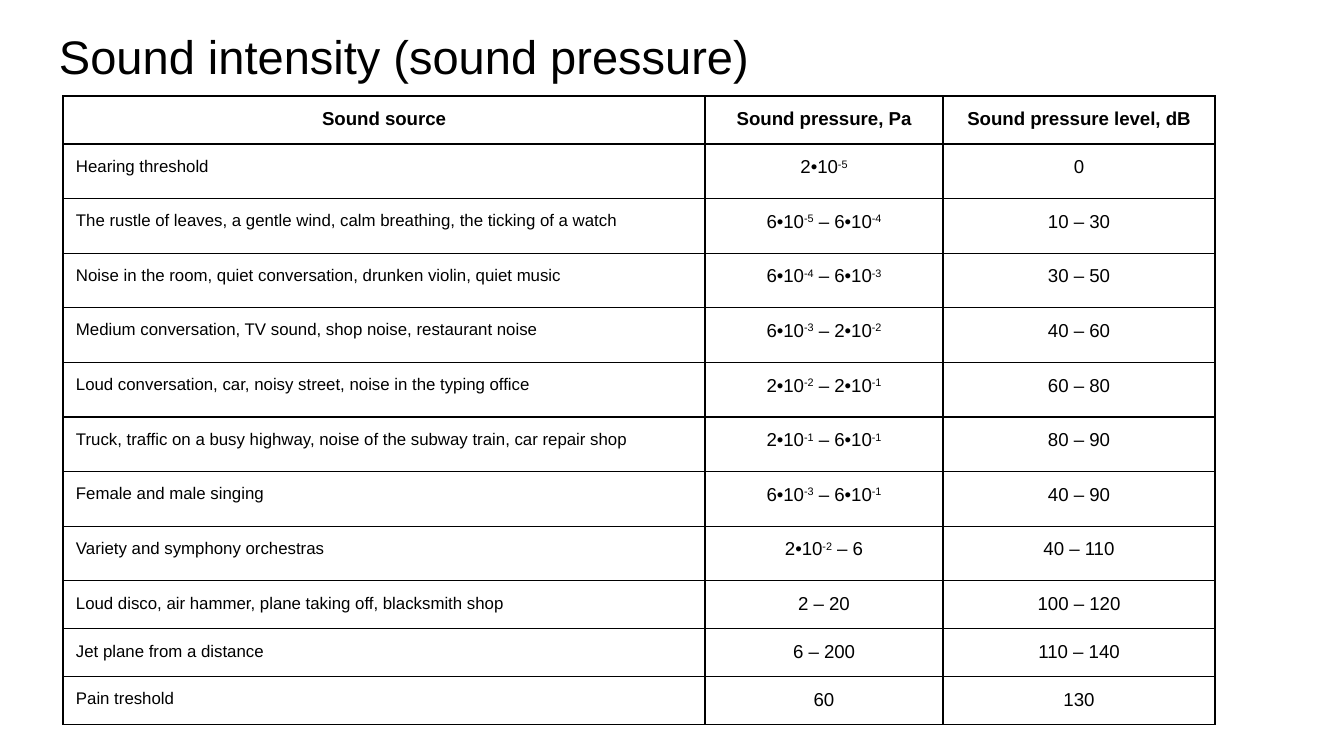
from dataclasses import dataclass

from lxml.etree import SubElement
from pptx import Presentation
from pptx.dml.color import RGBColor
from pptx.enum.text import MSO_ANCHOR as Anchor, PP_ALIGN as Align
from pptx.oxml.ns import qn
from pptx.util import Pt

EMU_PER_PX = 914400 / 134.4


def px(n):
    return round(n * EMU_PER_PX)


def apply(obj, values):
    for name, value in values.items():
        setattr(obj, name, value)


INSETS = dict(margin_left=px(13), margin_right=px(13),
              margin_top=px(13), margin_bottom=px(13))


@dataclass(frozen=True)
class Theme:
    font: str = "Arial"
    ink: str = "000000"
    paper: str = "FFFFFF"
    title: float = 25.2
    value: float = 10
    source: float = 9
    border: float = 0.75
    superscript: int = 30


class SlideBuilder:
    def __init__(self, slide, theme):
        self.s = slide
        self.theme = theme
        fill = slide.background.fill
        fill.solid()
        fill.fore_color.rgb = RGBColor.from_string(theme.paper)

    def text(self, tf, text, size, align, bold=False):
        p = tf.paragraphs[0]
        p.alignment = align
        for i, part in enumerate(text.split("|")):
            r = p.add_run()
            r.text = part
            apply(r.font, dict(name=self.theme.font, size=Pt(size), bold=bold))
            r.font.color.rgb = RGBColor.from_string(self.theme.ink)
            if i % 2:
                r._r.get_or_add_rPr().set("baseline", str(self.theme.superscript * 1000))

    def title(self, text, x, y, w, h):
        sp = self.s.shapes.title
        apply(sp, dict(left=px(x), top=px(y), width=px(w), height=px(h)))
        tf = sp.text_frame
        apply(tf, dict(INSETS, word_wrap=True, vertical_anchor=Anchor.BOTTOM))
        self.text(tf, text, self.theme.title, Align.LEFT)

    def borders(self, cell):
        tc_pr = cell._tc.get_or_add_tcPr()
        for side in ("a:lnL", "a:lnR", "a:lnT", "a:lnB"):
            ln = SubElement(tc_pr, qn(side), w=str(Pt(self.theme.border)))
            fill = SubElement(ln, qn("a:solidFill"))
            SubElement(fill, qn("a:srgbClr"), val=self.theme.ink)

    def cell(self, cell, text, size, align, bold):
        self.text(cell.text_frame, text, size, align, bold)
        apply(cell, dict(INSETS, vertical_anchor=Anchor.TOP))
        self.borders(cell)
        cell.fill.background()

    def table(self, rows, x, y, widths, heights):
        frame = self.s.shapes.add_table(len(rows), len(widths), px(x), px(y),
                                        px(sum(widths)), sum(heights))
        table = frame.table
        apply(table, dict(first_row=False, horz_banding=False))
        for column, width in zip(table.columns, widths):
            column.width = px(width)
        for row, height in zip(table.rows, heights):
            row.height = height
        for i, row in enumerate(rows):
            for j, text in enumerate(row):
                is_source = i > 0 and j == 0
                size = self.theme.source if is_source else self.theme.value
                align = Align.JUSTIFY if is_source else Align.CENTER
                self.cell(table.cell(i, j), text, size, align, bold=i == 0)


SOUNDS = [
    ("Sound source", "Sound pressure, Pa", "Sound pressure level, dB"),
    ("Hearing threshold", "2•10|-5", "0"),
    ("The rustle of leaves, a gentle wind, calm breathing, the ticking of a watch",
     "6•10|-5| – 6•10|-4", "10 – 30"),
    ("Noise in the room, quiet conversation, drunken violin, quiet music",
     "6•10|-4| – 6•10|-3", "30 – 50"),
    ("Medium conversation, TV sound, shop noise, restaurant noise",
     "6•10|-3| – 2•10|-2", "40 – 60"),
    ("Loud conversation, car, noisy street, noise in the typing office",
     "2•10|-2| – 2•10|-1", "60 – 80"),
    ("Truck, traffic on a busy highway, noise of the subway train, car repair shop",
     "2•10|-1| – 6•10|-1", "80 – 90"),
    ("Female and male singing", "6•10|-3| – 6•10|-1", "40 – 90"),
    ("Variety and symphony orchestras", "2•10|-2| – 6", "40 – 110"),
    ("Loud disco, air hammer, plane taking off, blacksmith shop",
     "2 – 20", "100 – 120"),
    ("Jet plane from a distance", "6 – 200", "110 – 140"),
    ("Pain treshold", "60", "130"),
]


def main():
    prs = Presentation()
    apply(prs, dict(slide_width=px(1344), slide_height=px(756)))
    slide = SlideBuilder(prs.slides.add_slide(prs.slide_layouts[5]), Theme())
    slide.title("Sound intensity (sound pressure)", 46, 12, 1252, 85)
    short, tall = px(48), px(437) // 8
    slide.table(SOUNDS, 63, 96, [642, 238, 272],
                [short] + [tall] * 8 + [short] * 3)
    prs.save("out.pptx")


if __name__ == "__main__":
    main()
